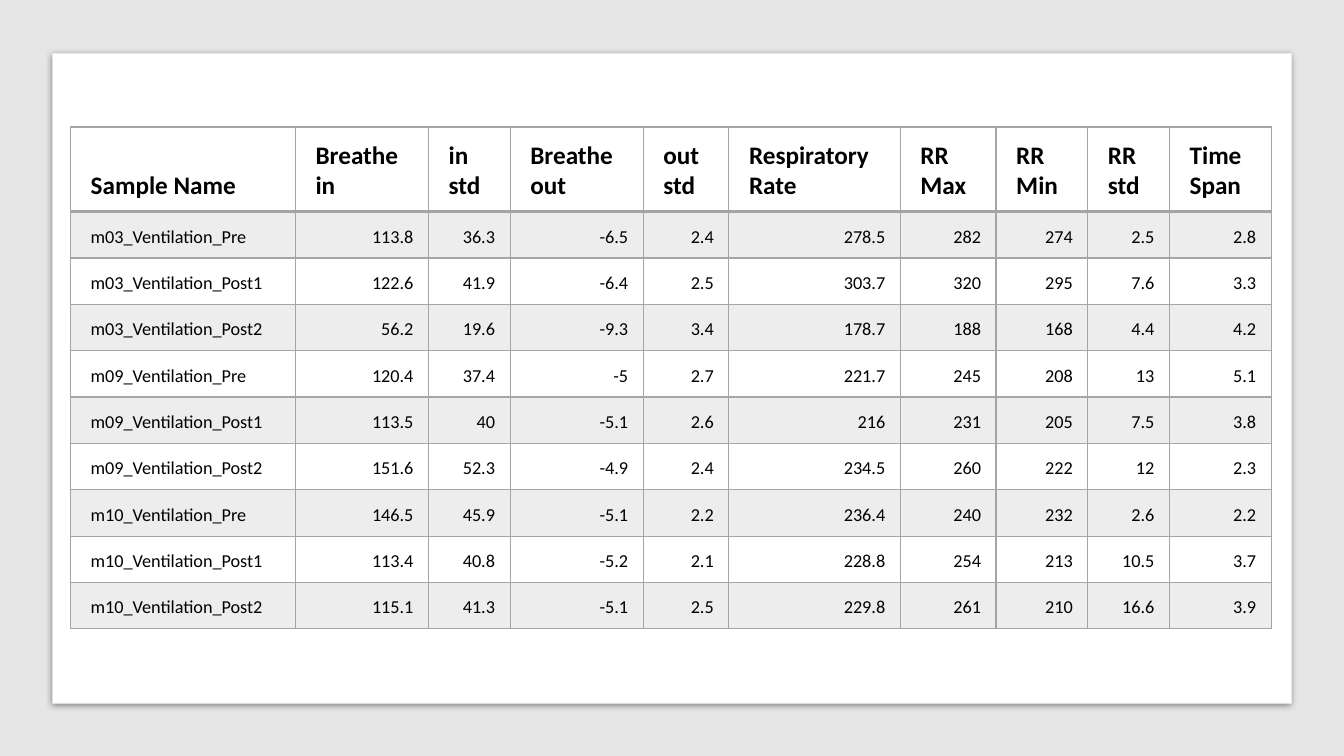
import dataclasses

import lxml.etree
import pptx
import pptx.dml.color
import pptx.enum.shapes
import pptx.enum.text
import pptx.oxml
import pptx.oxml.ns
import pptx.util

Inches = pptx.util.Inches
Pt = pptx.util.Pt
PP_ALIGN = pptx.enum.text.PP_ALIGN

GRAY = "A5A5A5"
HEADER_HEIGHT, ROW_HEIGHT = 0.84, 0.46


@dataclasses.dataclass
class Column:
    title: str
    width: float


@dataclasses.dataclass
class Panel:
    left: float
    top: float
    width: float
    height: float
    fill: str
    shadow: bool = False


PANELS = [
    Panel(0, 0, 13.33, 7.5, "E7E6E6"),
    Panel(0.52, 0.53, 12.29, 6.45, "FFFFFF", shadow=True),
]

COLUMNS = [
    Column("Sample Name", 2.23),
    Column("Breathe in", 1.32),
    Column("in std", 0.81),
    Column("Breathe out", 1.32),
    Column("out std", 0.85),
    Column("Respiratory Rate", 1.7),
    Column("RR Max", 0.95),
    Column("RR Min", 0.91),
    Column("RR std", 0.81),
    Column("Time Span", 1.01),
]

SAMPLES = [
    ("m03_Ventilation_Pre", 113.8, 36.3, -6.5, 2.4, 278.5, 282, 274, 2.5, 2.8),
    ("m03_Ventilation_Post1", 122.6, 41.9, -6.4, 2.5, 303.7, 320, 295, 7.6, 3.3),
    ("m03_Ventilation_Post2", 56.2, 19.6, -9.3, 3.4, 178.7, 188, 168, 4.4, 4.2),
    ("m09_Ventilation_Pre", 120.4, 37.4, -5, 2.7, 221.7, 245, 208, 13, 5.1),
    ("m09_Ventilation_Post1", 113.5, 40, -5.1, 2.6, 216, 231, 205, 7.5, 3.8),
    ("m09_Ventilation_Post2", 151.6, 52.3, -4.9, 2.4, 234.5, 260, 222, 12, 2.3),
    ("m10_Ventilation_Pre", 146.5, 45.9, -5.1, 2.2, 236.4, 240, 232, 2.6, 2.2),
    ("m10_Ventilation_Post1", 113.4, 40.8, -5.2, 2.1, 228.8, 254, 213, 10.5, 3.7),
    ("m10_Ventilation_Post2", 115.1, 41.3, -5.1, 2.5, 229.8, 261, 210, 16.6, 3.9),
]


def rgb(color: str) -> pptx.dml.color.RGBColor:
    return pptx.dml.color.RGBColor.from_string(color)


def add_panel(slide, panel: Panel) -> None:
    sp = slide.shapes.add_shape(
        pptx.enum.shapes.MSO_SHAPE.RECTANGLE,
        Inches(panel.left), Inches(panel.top), Inches(panel.width), Inches(panel.height))
    sp.fill.solid()
    sp.fill.fore_color.rgb = rgb(panel.fill)
    sp.line.fill.background()
    sp.shadow.inherit = False
    if panel.shadow:
        effects = sp._element.spPr.find(pptx.oxml.ns.qn("a:effectLst"))
        effects.append(pptx.oxml.parse_xml(
            f'<a:outerShdw {pptx.oxml.ns.nsdecls("a")} blurRad="{Pt(5)}" dist="{Pt(1.4)}" '
            'dir="5400000" algn="t" rotWithShape="0">'
            '<a:srgbClr val="000000"><a:alpha val="43000"/></a:srgbClr></a:outerShdw>'))


def set_borders(cell, bottom: float) -> None:
    tc_pr = cell._tc.get_or_add_tcPr()
    for side, width in (("L", 1), ("R", 1), ("T", 1), ("B", bottom)):
        tc_pr.append(pptx.oxml.parse_xml(
            f'<a:ln{side} {pptx.oxml.ns.nsdecls("a")} w="{Pt(width)}">'
            f'<a:solidFill><a:srgbClr val="{GRAY}"/></a:solidFill></a:ln{side}>'))


def fill_cell(cell, text: str, header: bool, striped: bool, numeric: bool) -> None:
    cell.margin_left, cell.margin_right = Inches(0.2), Inches(0.15)
    cell.margin_top = cell.margin_bottom = Inches(0.1)
    cell.vertical_anchor = pptx.enum.text.MSO_ANCHOR.BOTTOM
    set_borders(cell, bottom=2 if header else 1)
    if striped:
        cell.fill.solid()
        cell.fill.fore_color.rgb = rgb(GRAY)
        color = cell._tc.tcPr.find("/".join(map(pptx.oxml.ns.qn, ("a:solidFill", "a:srgbClr"))))
        lxml.etree.SubElement(color, pptx.oxml.ns.qn("a:alpha"), val="20000")
    else:
        cell.fill.background()
    p = cell.text_frame.paragraphs[0]
    p.text = text
    p.alignment = PP_ALIGN.RIGHT if numeric else PP_ALIGN.LEFT
    p.font.name = "Calibri"
    p.font.size = Pt(18 if header else 13)
    p.font.bold = header
    p.font.color.rgb = rgb("000000")


def add_results(slide) -> None:
    rows = [tuple(column.title for column in COLUMNS), *SAMPLES]
    width = sum(column.width for column in COLUMNS)
    height = HEADER_HEIGHT + ROW_HEIGHT * len(SAMPLES)
    table = slide.shapes.add_table(
        len(rows), len(COLUMNS), Inches(0.7), Inches(1.26), Inches(width), Inches(height)).table
    table.first_row = table.horz_banding = False
    for col, column in enumerate(COLUMNS):
        table.columns[col].width = Inches(column.width)
    for row, values in enumerate(rows):
        table.rows[row].height = Inches(ROW_HEIGHT if row else HEADER_HEIGHT)
        for col, value in enumerate(values):
            fill_cell(table.cell(row, col), str(value), header=row == 0,
                      striped=row % 2 == 1, numeric=row > 0 and col > 0)


def main() -> None:
    prs = pptx.Presentation()
    prs.slide_width, prs.slide_height = Inches(13.33), Inches(7.5)
    slide = prs.slides.add_slide(prs.slide_layouts[6])

    # Backdrop and white card
    for panel in PANELS:
        add_panel(slide, panel)

    # Ventilation results
    add_results(slide)
    prs.save("out.pptx")


if __name__ == "__main__":
    main()
